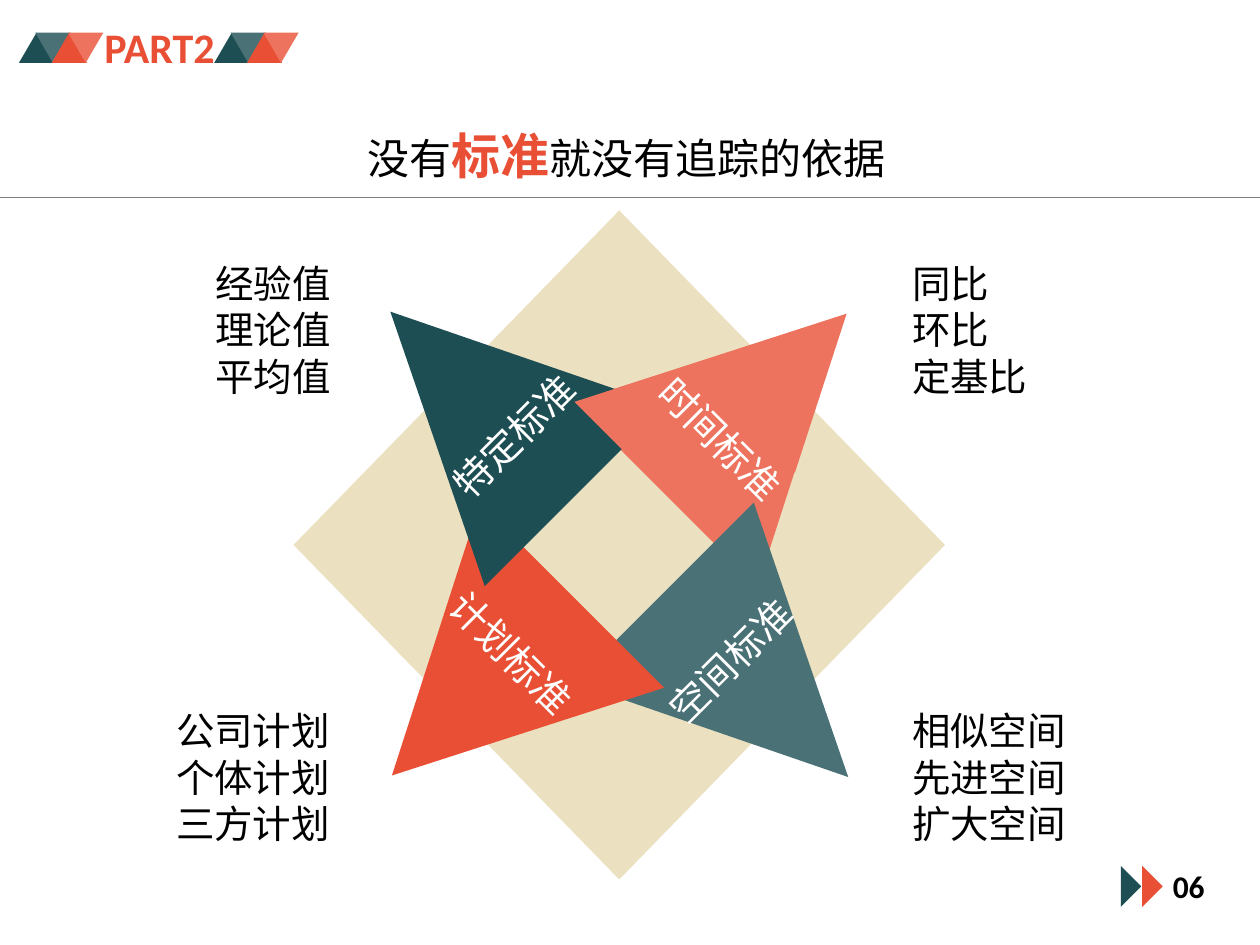
from lxml import etree
from pptx import Presentation
from pptx.dml.color import RGBColor
from pptx.enum.shapes import MSO_CONNECTOR, MSO_SHAPE as SHAPE
from pptx.enum.text import MSO_ANCHOR, MSO_AUTO_SIZE, PP_ALIGN
from pptx.oxml.ns import qn
from pptx.util import Inches, Pt

CJK, LATIN = "Noto Sans CJK SC", "Calibri"
TEAL, SLATE, RED, SALMON = "1D4E53", "4A7176", "E94F35", "ED735E"
BLACK, WHITE, SAND, GRAY = "000000", "FFFFFF", "EBE0C0", "7F7F7F"


def rgb(value):
    """Turn a hex string into a colour."""
    return RGBColor.from_string(value)


def style_run(r, size, color, font=CJK, bold=False):
    """Format a run, for Latin and East Asian text alike."""
    r.font.size, r.font.bold, r.font.name = Pt(size), bold, font
    r.font.color.rgb = rgb(color)
    etree.SubElement(r.font._element, qn("a:ea")).set("typeface", font)


def paint(s, color):
    """Give a shape a plain fill without line or shadow."""
    s.shadow.inherit = False
    s.fill.solid()
    s.fill.fore_color.rgb = rgb(color)
    s.line.fill.background()


def add_shape(slide, kind, box, color, rotation=0, flip=None):
    """Add a filled preset shape, rotated or flipped."""
    s = slide.shapes.add_shape(kind, *map(Inches, box))
    paint(s, color)
    s.rotation = rotation
    if flip:
        s._element.spPr.find(qn("a:xfrm")).set(flip, "1")


def add_polygon(slide, points, color):
    """Add a filled closed outline through points in inches."""
    start, *rest = [(Inches(x), Inches(y)) for x, y in points]
    builder = slide.shapes.build_freeform(*start)
    builder.add_line_segments(rest, close=True)
    paint(builder.convert_to_shape(), color)


def add_text(slide, box, lines, size, color, font=CJK, bold=False, pitch=None, rotation=0):
    """Add a text box with one paragraph per line."""
    s = slide.shapes.add_textbox(*map(Inches, box))
    s.rotation = rotation
    tf = s.text_frame
    tf.word_wrap = len(lines) > 1
    tf.text = "\n".join(lines)
    for p in tf.paragraphs:
        if pitch:
            p.line_spacing = Pt(pitch)
        style_run(p.runs[0], size, color, font, bold)


def add_title(slide):
    """Place the title with its highlighted word."""
    s = slide.shapes.title
    s.left, s.top, s.width, s.height = map(Inches, (2.82, 0.9, 4.37, 0.57))
    tf = s.text_frame
    tf.word_wrap, tf.auto_size = True, MSO_AUTO_SIZE.NONE
    tf.vertical_anchor = MSO_ANCHOR.TOP
    p = tf.paragraphs[0]
    p.alignment, p.line_spacing = PP_ALIGN.LEFT, Pt(37)
    for text, size, color, bold in (("没有", 24, BLACK, False), ("标准", 28, RED, True),
                                    ("就没有追踪的依据", 24, BLACK, False)):
        r = p.add_run()
        r.text = text
        style_run(r, size, color, bold=bold)


def add_rule(slide):
    """Draw the rule below the title."""
    s = slide.shapes.add_connector(MSO_CONNECTOR.STRAIGHT, 0, Inches(1.57), Inches(10), Inches(1.57))
    s.line.color.rgb, s.line.width = rgb(GRAY), Pt(0.75)
    etree.SubElement(s._element.spPr, qn("a:effectLst"))


def add_ribbon(slide, left):
    """Add a row of alternating triangles."""
    for i, color in enumerate((TEAL, SLATE, RED, SALMON)):
        add_shape(slide, SHAPE.ISOSCELES_TRIANGLE, (left + i * 0.13, 0.26, 0.28, 0.24),
                  color, flip="flipV" if i % 2 else None)


def add_page_mark(slide):
    """Add the page number and its arrows."""
    for left, color in ((8.95, RED), (8.78, TEAL)):
        add_shape(slide, SHAPE.RIGHT_TRIANGLE, (left, 6.92, 0.23, 0.23), color, 315, "flipH")
    add_text(slide, (9.21, 6.83, 0.46, 0.4), ["06"], 18, BLACK, LATIN, True)


def add_lists(slide):
    """Add the examples in the four corners."""
    for left, top, width, lines in (
            (7.14, 2.01, 1.22, ("同比", "环比", "定基比")),
            (7.14, 5.56, 1.56, ("相似空间", "先进空间", "扩大空间")),
            (1.3, 5.56, 1.46, ("公司计划", "个体计划", "三方计划")),
            (1.61, 2.01, 1.15, ("经验值", "理论值", "平均值"))):
        add_text(slide, (left, top, width, 1.21), lines, 22, BLACK, pitch=26.6)


def add_star(slide):
    """Add the diamond with four interlocking labelled triangles."""
    add_shape(slide, SHAPE.DIAMOND, (2.33, 1.67, 5.17, 5.31), SAND)
    for box, color, rotation in (((4.96, 2.2, 2.07, 2.02), SALMON, 45),
                                 ((4.99, 4.4, 2.02, 2.07), SLATE, 135),
                                 ((2.79, 4.43, 2.07, 2.02), RED, 225),
                                 ((2.82, 2.17, 2.02, 2.07), TEAL, 315)):
        add_shape(slide, SHAPE.ISOSCELES_TRIANGLE, box, color, rotation)
    add_polygon(slide, ((6.72, 2.49), (6.31, 3.75), (5.11, 3.74), (4.56, 3.19)), SALMON)
    for left, top, text, rotation in ((3.34, 3.19, "特定标准", 315), (5.03, 3.23, "时间标准", 45),
                                      (5.06, 4.97, "空间标准", 315), (3.37, 4.93, "计划标准", 45)):
        add_text(slide, (left, top, 1.44, 0.47), [text], 22, WHITE, pitch=29, rotation=rotation)


def main():
    """Build the slide and save it."""
    prs = Presentation()
    prs.slide_width, prs.slide_height = Inches(10), Inches(7.5)
    slide = prs.slides.add_slide(prs.slide_layouts[5])
    add_title(slide)
    add_rule(slide)
    add_page_mark(slide)
    add_ribbon(slide, 0.15)
    add_text(slide, (0.73, 0.12, 1.08, 0.5), ["PART2"], 24, RED, LATIN, True)
    add_ribbon(slide, 1.7)
    add_lists(slide)
    add_star(slide)
    prs.save("out.pptx")


if __name__ == "__main__":
    main()
